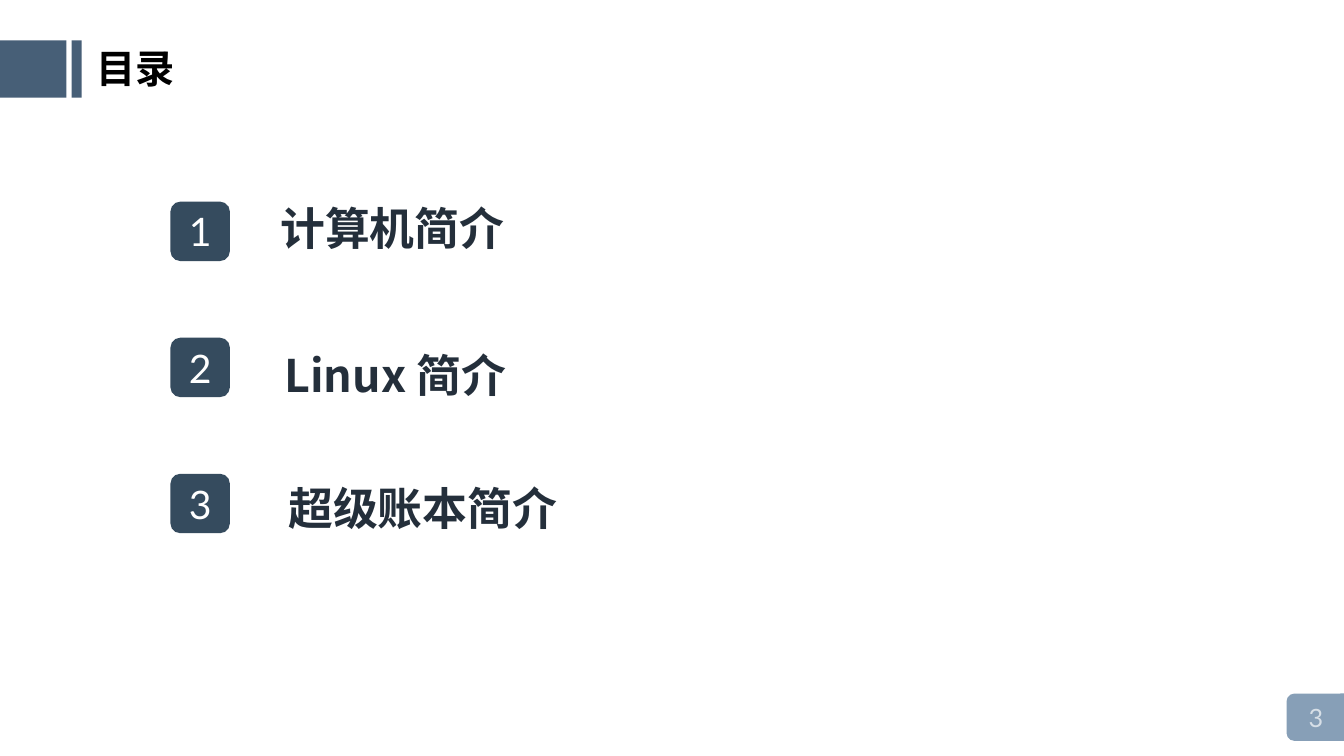
from lxml.etree import SubElement
from pptx import Presentation
from pptx.dml.color import RGBColor
from pptx.enum.shapes import MSO_SHAPE
from pptx.enum.text import MSO_ANCHOR, MSO_AUTO_SIZE, PP_ALIGN
from pptx.oxml.ns import qn
from pptx.util import Inches, Pt

STEEL = RGBColor(0x47, 0x5F, 0x77)
SLATE = RGBColor(0x35, 0x4B, 0x5E)
MIST = RGBColor(0x87, 0x9F, 0xB7)
PALE = RGBColor(0xD7, 0xDF, 0xE7)
INK = RGBColor(0x24, 0x2F, 0x3B)
BLACK = RGBColor(0, 0, 0)
WHITE = RGBColor(255, 255, 255)
LATO, NOTO = "Lato", "Noto Sans CJK SC"

BADGE, PITCH = 0.59, 1.35
# Label, offset from the badge's left and top, width, height, line spacing
TOPICS = [
    ("计算机简介", 1.04, -0.06, 8.77, 0.7, None),
    ("Linux 简介", 1.08, -0.02, 9.89, 0.56, 1.14),
    ("超级账本简介", 1.12, -0.05, 6.5, 0.48, 1.14),
]


def write(frame, text, size, color, font=LATO, bold=False, align=None, lead=None):
    par = frame.paragraphs[0]
    par.alignment = align
    par.line_spacing = lead
    run = par.add_run()
    run.text = text
    run.font.size = Pt(size)
    run.font.bold = bold
    run.font.color.rgb = color
    run.font.name = font
    SubElement(run.font._element, qn("a:ea")).set("typeface", font)


def label(slide, box, text, wrap=False, inset=None, **style):
    frame = slide.shapes.add_textbox(*map(Inches, box)).text_frame
    frame.word_wrap = wrap
    if inset is None:
        frame.auto_size = MSO_AUTO_SIZE.SHAPE_TO_FIT_TEXT
    else:
        frame.margin_left = frame.margin_right = Inches(inset)
        frame.margin_top = frame.margin_bottom = Inches(inset)
    write(frame, text, **style)


def block(slide, kind, box, color):
    shape = slide.shapes.add_shape(kind, *map(Inches, box))
    shape.shadow.inherit = False
    shape.fill.solid()
    shape.fill.fore_color.rgb = color
    shape.line.fill.background()
    return shape


def header(slide, top, height, title):
    for left, width in ((0, 0.66), (0.71, 0.1)):
        block(slide, MSO_SHAPE.RECTANGLE, (left, top, width, height), STEEL)
    label(slide, (0.86, top - 0.01, 1.01, height), title,
          size=28, color=BLACK, bold=True)


def topic(slide, left, top, number, text, dx, dy, width, height, lead):
    """Place a numbered badge and its label."""
    badge = block(slide, MSO_SHAPE.ROUNDED_RECTANGLE,
                  (left, top, BADGE, BADGE), SLATE)
    badge.adjustments[0] = 0.167
    badge.text_frame.vertical_anchor = MSO_ANCHOR.MIDDLE
    write(badge.text_frame, str(number), 28, WHITE, align=PP_ALIGN.CENTER)
    label(slide, (left + dx, top + dy, width, height), text, wrap=True,
          inset=0.05, size=32, color=INK, font=NOTO, bold=True, lead=lead)


def agenda(slide, left, top):
    for row, item in enumerate(TOPICS):
        topic(slide, left, top + row * PITCH, row + 1, *item)


def footer(slide, left, top, number):
    """Place the page tab, turned to round its left corners."""
    tab = block(slide, MSO_SHAPE.ROUND_2_SAME_RECTANGLE,
                (left, top, 0.47, 0.59), MIST)
    tab.rotation = 270
    label(slide, (left + 0.06, top + 0.1, 0.33, 0.4), number,
          size=18, color=PALE)


def main():
    deck = Presentation()
    deck.slide_width, deck.slide_height = Inches(13.33), Inches(7.5)
    slide = deck.slides.add_slide(deck.slide_layouts[6])
    header(slide, 0.4, 0.57, "目录")
    agenda(slide, 1.69, 2)
    footer(slide, 12.82, 6.82, "3")
    deck.save("out.pptx")


if __name__ == "__main__":
    main()
